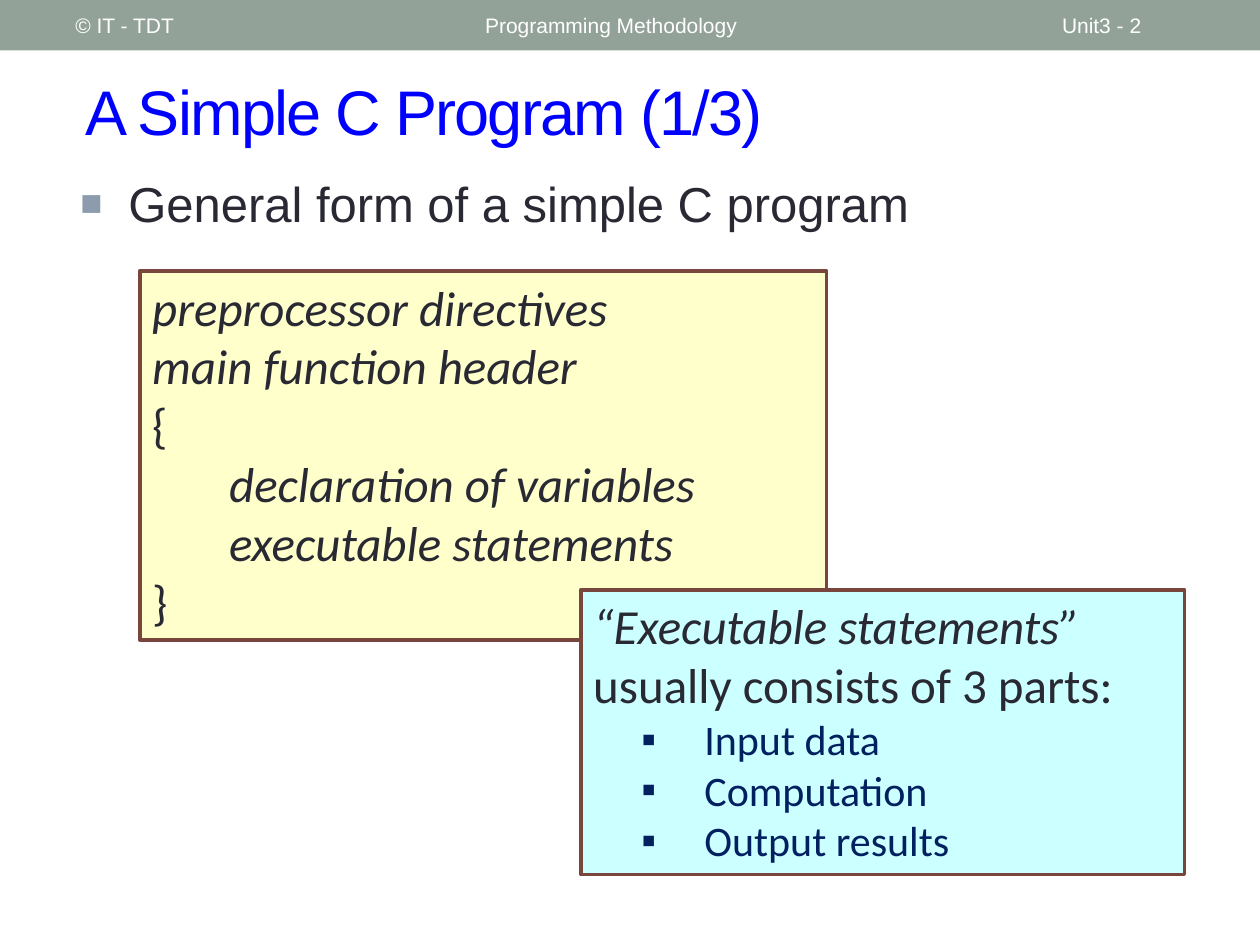
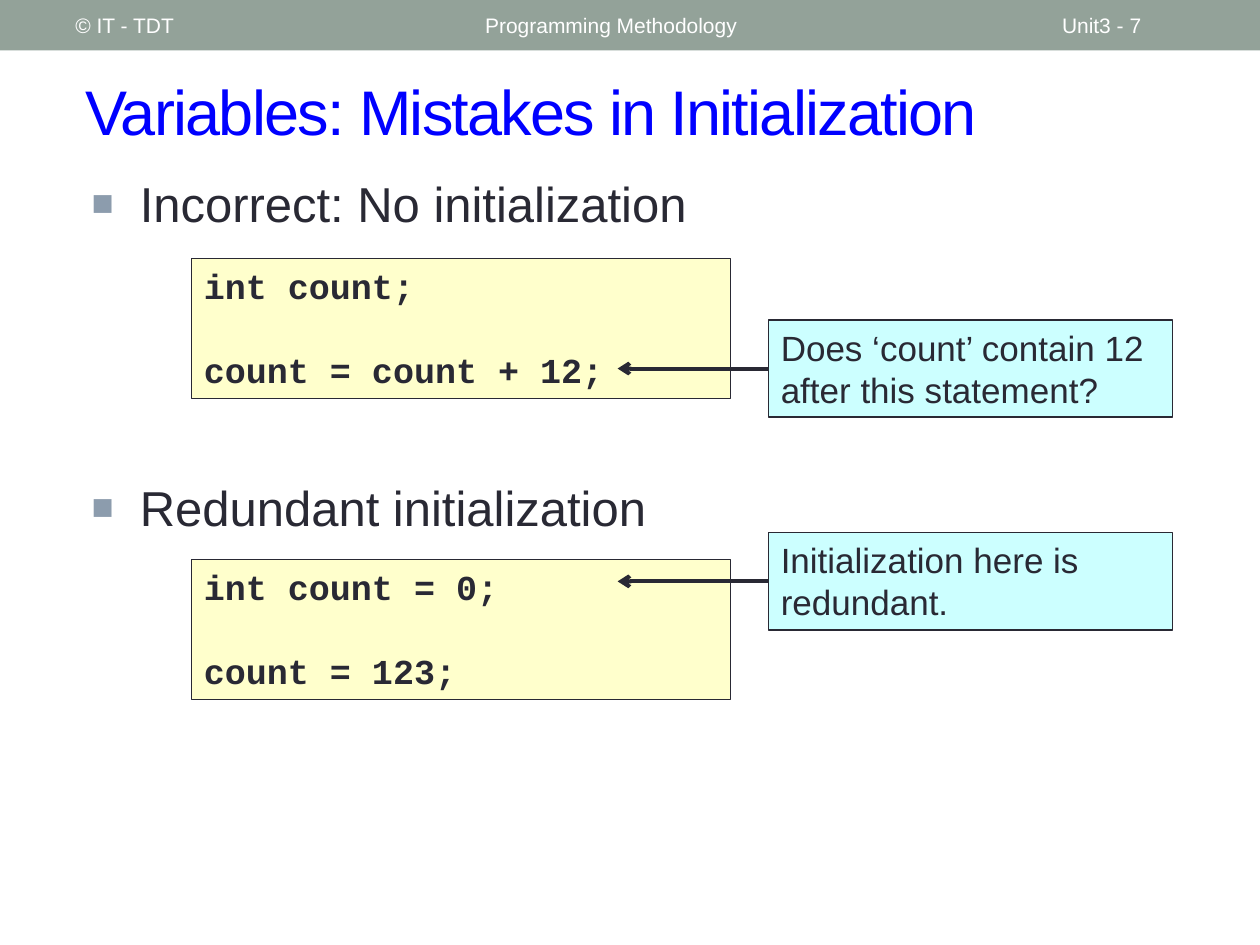
from dataclasses import dataclass

from lxml import etree
from pptx import Presentation
from pptx.dml.color import RGBColor
from pptx.enum.shapes import MSO_CONNECTOR, MSO_SHAPE
from pptx.enum.text import MSO_ANCHOR
from pptx.oxml.ns import qn
from pptx.util import Cm, Pt

RECTANGLE = MSO_SHAPE.RECTANGLE
STRAIGHT = MSO_CONNECTOR.STRAIGHT
TOP, MIDDLE = MSO_ANCHOR.TOP, MSO_ANCHOR.MIDDLE

# Shared colours and fonts
BAND, WHITE, TITLE_BLUE = "93A299", "FFFFFF", "0000FF"
INK, NAVY, BROWN = "292934", "002060", "79463D"
YELLOW, CYAN, BULLET_GREY = "FFFFCC", "CCFFFF", "8C9CAD"
SANS, BODY, MONO = "Arial", "Calibri", "Courier New"

SLIDE_WIDTH, SLIDE_HEIGHT = 25.4, 19.05
BAND_HEIGHT = 1.02


@dataclass(frozen=True)
class Area:
    left: float
    top: float
    width: float
    height: float

    def lengths(self):
        return Cm(self.left), Cm(self.top), Cm(self.width), Cm(self.height)


@dataclass(frozen=True)
class Style:
    font: str
    size: float
    color: str = INK
    bold: bool = False
    italic: bool = False
    tracking: float = 0


@dataclass(frozen=True)
class Bullet:
    symbol: str
    color: str
    percent: int = 100


@dataclass(frozen=True)
class Line:
    """One paragraph: its (text, style) runs and its layout."""
    runs: tuple
    indent: float = 0
    hanging: float = 0
    bullet: Bullet | None = None
    space_before: float = 0


@dataclass(frozen=True)
class Mistake:
    """A heading, its code and a callout pointing at one statement."""
    heading: str
    heading_top: float
    statements: tuple
    code_top: float
    remark: str
    remark_top: float


HEADER = Style(SANS, 12, WHITE)
TITLE = Style(SANS, 36, TITLE_BLUE, tracking=-1)
HEADING = Style(SANS, 28)
PLAIN = Style(BODY, 28)
ITALIC = Style(BODY, 28, italic=True)
PART = Style(BODY, 24, NAVY)
CODE = Style(MONO, 20, bold=True)
REMARK = Style(SANS, 20)

HEADING_BULLET = Bullet("■", BULLET_GREY, 75)
PART_BULLET = Bullet("▪", NAVY)


def rgb(color: str) -> RGBColor:
    return RGBColor.from_string(color)


def add_bullet(paragraph, bullet: Bullet) -> None:
    properties = paragraph._p.get_or_add_pPr()
    color = etree.SubElement(properties, qn("a:buClr"))
    etree.SubElement(color, qn("a:srgbClr"), val=bullet.color)
    etree.SubElement(properties, qn("a:buSzPct"), val=str(bullet.percent * 1000))
    etree.SubElement(properties, qn("a:buFont"), typeface=SANS)
    etree.SubElement(properties, qn("a:buChar"), char=bullet.symbol)


def add_run(paragraph, text: str, style: Style) -> None:
    run = paragraph.add_run()
    run.text = text
    font = run.font
    font.name, font.size = style.font, Pt(style.size)
    font.bold, font.italic = style.bold, style.italic
    font.color.rgb = rgb(style.color)
    if style.tracking:
        run._r.get_or_add_rPr().set("spc", str(int(style.tracking * 100)))


def write(shape, lines: list[Line], anchor=TOP) -> None:
    frame = shape.text_frame
    frame.word_wrap = True
    frame.vertical_anchor = anchor
    for index, line in enumerate(lines):
        paragraph = frame.add_paragraph() if index else frame.paragraphs[0]
        paragraph.alignment = 1  # left
        properties = paragraph._p.get_or_add_pPr()
        properties.set("marL", str(Cm(line.indent)))
        properties.set("indent", str(-Cm(line.hanging)))
        if line.space_before:
            paragraph.space_before = Pt(line.space_before)
        if line.bullet:
            add_bullet(paragraph, line.bullet)
        for text, style in line.runs:
            add_run(paragraph, text, style)


def add_text(slide, area: Area, lines: list[Line], anchor=TOP) -> None:
    write(slide.shapes.add_textbox(*area.lengths()), lines, anchor)


def add_panel(slide, area: Area, fill: str, lines: list[Line] | None = None,
              border: str | None = None, weight: float = 0.75) -> None:
    panel = slide.shapes.add_shape(RECTANGLE, *area.lengths())
    panel.shadow.inherit = False
    panel.fill.solid()
    panel.fill.fore_color.rgb = rgb(fill)
    if border:
        panel.line.color.rgb = rgb(border)
        panel.line.width = Pt(weight)
    else:
        panel.line.fill.background()
    if lines:
        write(panel, lines)


def add_arrow(slide, start: float, end: float, height: float) -> None:
    arrow = slide.shapes.add_connector(
        STRAIGHT, Cm(start), Cm(height), Cm(end), Cm(height))
    arrow.line.color.rgb = rgb(INK)
    arrow.line.width = Pt(2.25)
    etree.SubElement(arrow.line._get_or_add_ln(), qn("a:tailEnd"), type="arrow")
    etree.SubElement(arrow._element.spPr, qn("a:effectLst"))


def add_heading(slide, area: Area, text: str) -> None:
    add_text(slide, area, [Line(((text, HEADING),), 0.97, 0.97, HEADING_BULLET)])


def start_slide(deck, title: str, number: int):
    """Blank slide with the header band, its three labels and the title."""
    slide = deck.slides.add_slide(deck.slide_layouts[6])
    add_panel(slide, Area(0, 0, SLIDE_WIDTH, BAND_HEIGHT), BAND)
    labels = (("© IT - TDT", 1.27, 8.05),
              ("Programming Methodology", 9.53, 11.43),
              (f"Unit3 - {number}", 21.16, 2.97))
    for text, left, width in labels:
        add_text(slide, Area(left, 0.05, width, 0.91),
                 [Line(((text, HEADER),))], MIDDLE)
    add_text(slide, Area(1.47, 1.27, 22.66, 1.9),
             [Line(((title, TITLE),))], MIDDLE)
    return slide


def build_simple_program(deck) -> None:
    slide = start_slide(deck, "A Simple C Program (1/3)", 2)
    add_heading(slide, Area(1.37, 3.38, 21.92, 2.08),
                "General form of a simple C program")

    # General form
    form = [
        Line((("preprocessor directives", ITALIC),)),
        Line((("main function header", ITALIC),)),
        Line((("{", PLAIN),)),
        Line((("declaration of variables", ITALIC),), indent=1.55),
        Line((("executable statements", ITALIC),), indent=1.55),
        Line((("}", PLAIN),)),
    ]
    add_panel(slide, Area(2.82, 5.46, 13.84, 7.44), YELLOW, form, BROWN, 2.08)

    # Parts of the executable statements
    parts = [Line((("“Executable statements” ", ITALIC),
                   ("usually consists of 3 parts:", PLAIN)))]
    parts += [Line(((name, PART),), 2.24, 1.27, PART_BULLET)
              for name in ("Input data", "Computation", "Output results")]
    add_panel(slide, Area(11.71, 11.89, 12.17, 5.74), CYAN, parts, BROWN, 2.08)


def add_mistake(slide, mistake: Mistake) -> None:
    add_heading(slide, Area(1.6, mistake.heading_top, 23.24, 1.96), mistake.heading)

    # Statements stand one empty line apart
    code = [Line(((statement, CODE),), space_before=24 if index else 0)
            for index, statement in enumerate(mistake.statements)]
    add_panel(slide, Area(3.86, mistake.code_top, 10.87, 2.82), YELLOW, code, INK)

    # Callout with its arrow at mid-height
    callout = Area(15.49, mistake.remark_top, 8.15, 1.96)
    add_panel(slide, callout, CYAN, [Line(((mistake.remark, REMARK),))], INK)
    add_arrow(slide, callout.left, 12.45, callout.top + callout.height / 2)


def build_initialization_mistakes(deck) -> None:
    slide = start_slide(deck, "Variables: Mistakes in Initialization", 7)
    mistakes = (
        Mistake("Incorrect: No initialization", 3.38,
                ("int count;", "count = count + 12;"), 5.21,
                "Does ‘count’ contain 12 after this statement?", 6.45),
        Mistake("Redundant initialization", 9.5,
                ("int count = 0;", "count = 123;"), 11.28,
                "Initialization here is redundant.", 10.74),
    )
    for mistake in mistakes:
        add_mistake(slide, mistake)


def main() -> None:
    deck = Presentation()
    deck.slide_width, deck.slide_height = Cm(SLIDE_WIDTH), Cm(SLIDE_HEIGHT)
    build_simple_program(deck)
    build_initialization_mistakes(deck)
    deck.save("out.pptx")


if __name__ == "__main__":
    main()
